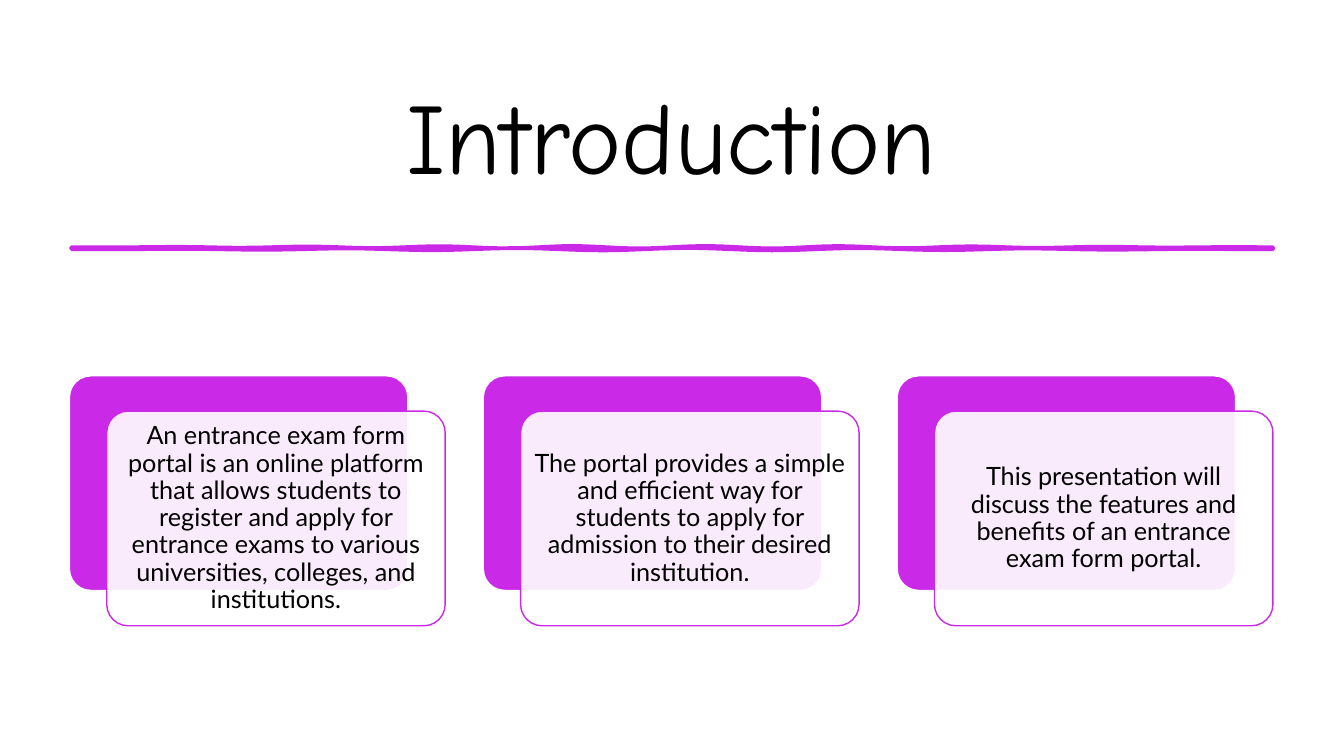
from collections import namedtuple
from math import pi, sin

from lxml.etree import SubElement
from pptx import Presentation
from pptx.dml.color import RGBColor
from pptx.enum.shapes import MSO_SHAPE as Preset
from pptx.enum.text import MSO_ANCHOR as Anchor, PP_ALIGN as Align
from pptx.oxml.ns import qn
from pptx.util import Cm, Pt

Box = namedtuple("Box", "left top width height")  # centimetres

PURPLE, WHITE, BLACK = "CA29E7", "FFFFFF", "000000"
CARD_TEXTS = [
    "An entrance exam form portal is an online platform that allows students "
    "to register and apply for entrance exams to various universities, "
    "colleges, and institutions.",
    "The portal provides a simple and efficient way for students to apply "
    "for admission to their desired institution.",
    "This presentation will discuss the features and benefits of an entrance "
    "exam form portal.",
]


def color(code):
    """Turn a hex string into a colour."""
    return RGBColor.from_string(code)


def paint(shape, fill, line, weight):
    """Give a shape a plain fill and outline without a shadow."""
    shape.shadow.inherit = False
    shape.fill.solid()
    shape.fill.fore_color.rgb = color(fill)
    shape.line.color.rgb = color(line)
    shape.line.width = Pt(weight)


def set_opacity(shape, percent):
    """Make the solid fill of a shape partly see-through."""
    fill_color = shape.fill._xPr.find(qn("a:solidFill"))[0]
    SubElement(fill_color, qn("a:alpha"), val=str(percent * 1000))


def write(frame, text, font, size):
    """Write one black, centred paragraph in the middle of a frame."""
    frame.word_wrap = True
    frame.vertical_anchor = Anchor.MIDDLE
    para = frame.paragraphs[0]
    para.text = text
    para.alignment = Align.CENTER
    para.line_spacing = 0.9
    para.font.name = font
    para.font.size = Pt(size)
    para.font.color.rgb = color(BLACK)


def add_title(page, box, text):
    """Add the slide title."""
    title = page.shapes.add_textbox(*map(Cm, box))
    write(title.text_frame, text, "Comic Neue", 72)


def add_wavy_rule(page, box):
    """Add a hand-drawn rule whose two edges waver on their own."""
    steps = 120

    def edge(base, waves, phase):
        """List the points of one wavering edge from left to right."""
        points = []
        for step in range(steps + 1):
            part = step / steps
            sway = 0.03 * sin(pi * part) * sin(2 * pi * waves * part + phase)
            points.append((Cm(box.left + box.width * part), Cm(base + sway)))
        return points

    upper = edge(box.top, 9, 0)
    lower = edge(box.top + box.height, 7, 1)
    builder = page.shapes.build_freeform(*upper[0])
    builder.add_line_segments(upper[1:] + lower[::-1], close=True)
    paint(builder.convert_to_shape(), PURPLE, PURPLE, 2.75)


def add_card(page, box, text):
    """Add a purple panel with a see-through text panel shifted over it."""
    shift_x, shift_y = 0.94, 0.89
    width, height = box.width - shift_x, box.height - shift_y

    def add_panel(left, top, fill, line):
        """Add one rounded panel of the card."""
        panel = page.shapes.add_shape(
            Preset.ROUNDED_RECTANGLE, *map(Cm, (left, top, width, height)))
        panel.adjustments[0] = 0.1
        paint(panel, fill, line, 1)
        return panel

    add_panel(box.left, box.top, PURPLE, WHITE)
    front = add_panel(box.left + shift_x, box.top + shift_y, WHITE, PURPLE)
    set_opacity(front, 90)
    frame = front.text_frame
    frame.margin_left = frame.margin_right = Cm(0.18)
    frame.margin_top = frame.margin_bottom = Cm(0.18)
    write(frame, text, "Lato", 18)


def add_card_row(page, box, texts):
    """Spread equal cards over the width of a box."""
    gap = 0.96
    width = (box.width - gap * (len(texts) - 1)) / len(texts)
    for index, text in enumerate(texts):
        left = box.left + index * (width + gap)
        add_card(page, Box(left, box.top, width, box.height), text)


def build_introduction(deck):
    """Build the introduction slide."""
    page = deck.slides.add_slide(deck.slide_layouts[6])
    add_title(page, Box(1.75, 1.75, 30.33, 3.66), "Introduction")
    add_wavy_rule(page, Box(1.8, 6.23, 30.28, 0.05))
    add_card_row(page, Box(1.75, 9.47, 30.33, 6.3), CARD_TEXTS)


deck = Presentation()
deck.slide_width, deck.slide_height = Cm(33.87), Cm(19.05)
build_introduction(deck)
deck.save("out.pptx")
